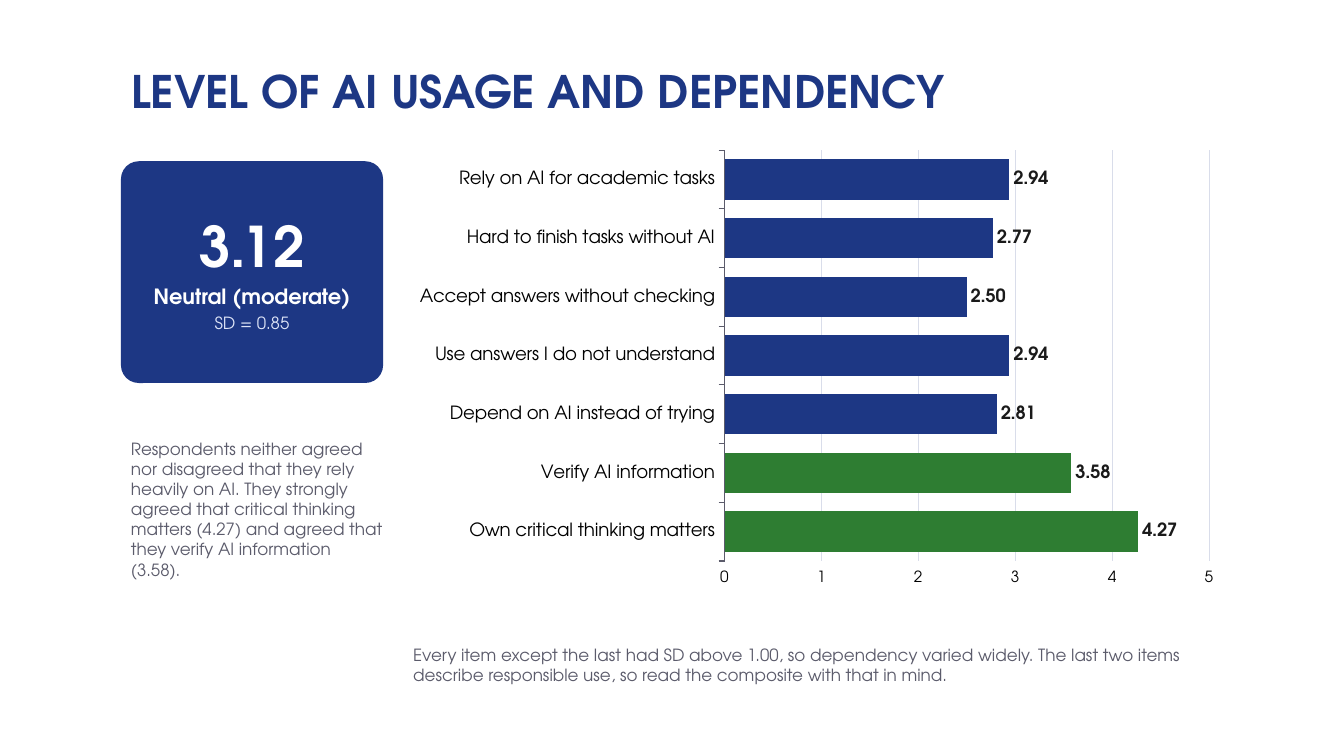
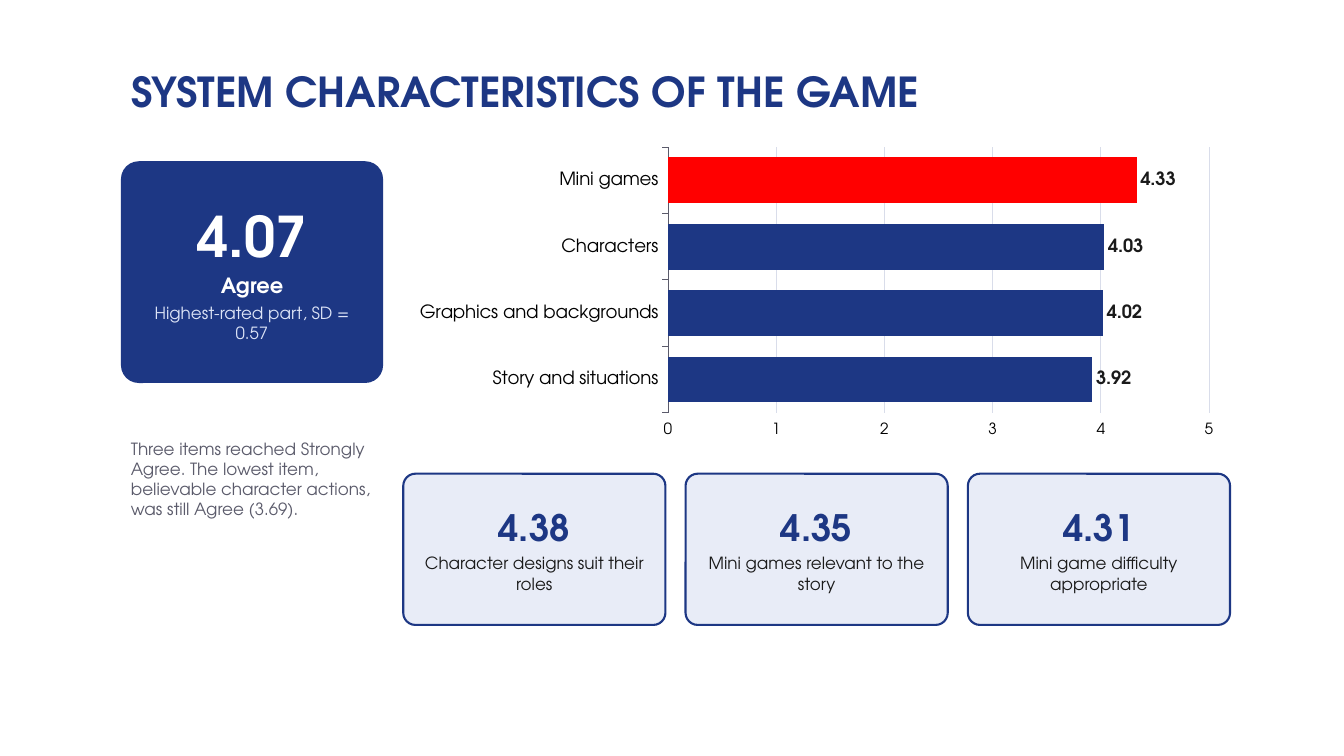
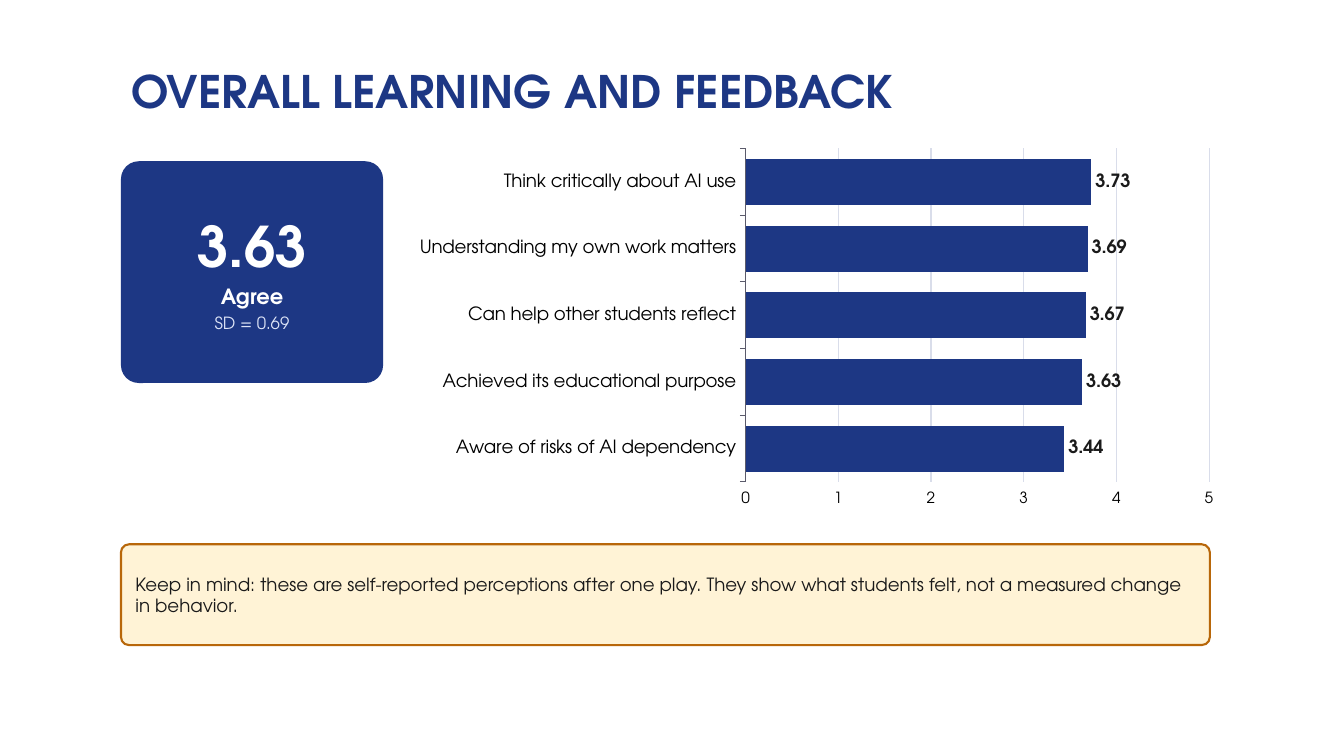
from pptx import Presentation
from pptx.chart.data import CategoryChartData
from pptx.dml.color import RGBColor
from pptx.enum.chart import XL_CHART_TYPE, XL_LABEL_POSITION, XL_TICK_MARK
from pptx.enum.shapes import MSO_SHAPE
from pptx.enum.text import MSO_ANCHOR, MSO_AUTO_SIZE, PP_ALIGN
from pptx.util import Inches, Pt

# Shared look
FONT = "TeX Gyre Adventor"
NAVY, GREEN, RED, AMBER = "1D3784", "2E7D32", "FF0000", "B8670A"
WHITE, INK, GREY = "FFFFFF", "1A1A1A", "5B5B6B"
PALE_BLUE, MIST, CREAM, GRID = "DDE4F7", "E8ECF7", "FFF3D6", "D9DDEA"

# Four-column grid, in inches
MARGIN, COLUMN, GUTTER = 1.2, 2.6, 0.2
CARD_TOP, CHART_TOP, NOTE_TOP = 1.6, 1.4, 4.3


def column_left(index):
    return MARGIN + index * (COLUMN + GUTTER)


def span(count):
    return count * (COLUMN + GUTTER) - GUTTER


def color(hex_value):
    return RGBColor.from_string(hex_value)


def set_font(font, size, hex_value, bold=False):
    font.name = FONT
    font.size = Pt(size)
    font.bold = bold
    font.color.rgb = color(hex_value)


def write(text_frame, lines, align):
    """Write (text, size, colour, bold) lines, one paragraph each."""
    text_frame.word_wrap = True
    text_frame.text = "\n".join(line[0] for line in lines)
    for index, (paragraph, line) in enumerate(zip(text_frame.paragraphs, lines)):
        paragraph.alignment = align
        if index:
            paragraph.space_before = Pt(3)
        for run in paragraph.runs:
            set_font(run.font, *line[1:])


def add_titled_slide(presentation, title, size=32):
    slide = presentation.slides.add_slide(presentation.slide_layouts[5])
    shape = slide.shapes.title
    shape.left, shape.top = Inches(MARGIN), Inches(0.45)
    shape.width, shape.height = Inches(10), Inches(0.9)
    write(shape.text_frame, [(title, size, NAVY, True)], PP_ALIGN.LEFT)
    shape.text_frame.auto_size = MSO_AUTO_SIZE.NONE
    shape.text_frame.vertical_anchor = MSO_ANCHOR.MIDDLE
    return slide


def add_panel(slide, box, fill, lines, border=None, align=PP_ALIGN.CENTER):
    shape = slide.shapes.add_shape(
        MSO_SHAPE.ROUNDED_RECTANGLE, *(Inches(length) for length in box))
    shape.adjustments[0] = 0.08
    shape.shadow.inherit = False
    shape.fill.solid()
    shape.fill.fore_color.rgb = color(fill)
    if border:
        shape.line.color.rgb = color(border)
        shape.line.width = Pt(1.5)
    else:
        shape.line.fill.background()
    text_frame = shape.text_frame
    text_frame.margin_left = text_frame.margin_right = Inches(0.12)
    text_frame.margin_top = text_frame.margin_bottom = Inches(0.06)
    text_frame.vertical_anchor = MSO_ANCHOR.MIDDLE
    write(text_frame, lines, align)


def add_score_card(slide, score, verdict, detail):
    add_panel(slide, (MARGIN, CARD_TOP, COLUMN, 2.2), NAVY, [
        (score, 40, WHITE, True),
        (verdict, 15, WHITE, True),
        (detail, 12, PALE_BLUE, False)])


def add_note(slide, left, top, width, height, text):
    box = slide.shapes.add_textbox(
        Inches(left), Inches(top), Inches(width), Inches(height))
    write(box.text_frame, [(text, 12, GREY, False)], PP_ALIGN.LEFT)


def add_score_chart(slide, height, scores, highlights=None):
    """Bar chart of (label, score) pairs listed from top to bottom."""
    highlights = highlights or {}
    rows = scores[::-1]
    data = CategoryChartData(number_format="0.00")
    data.categories = [label for label, _ in rows]
    data.add_series("Series 1", [score for _, score in rows])
    chart = slide.shapes.add_chart(
        XL_CHART_TYPE.BAR_CLUSTERED, Inches(column_left(1)), Inches(CHART_TOP),
        Inches(span(3)), Inches(height), data).chart
    chart.has_legend = False
    chart.has_title = False
    set_font(chart.font, 13, "000000")

    # Axes
    category_axis, value_axis = chart.category_axis, chart.value_axis
    for axis, size in ((category_axis, 13), (value_axis, 11)):
        set_font(axis.tick_labels.font, size, "000000")
        axis.major_tick_mark = XL_TICK_MARK.OUTSIDE
    category_axis.format.line.color.rgb = color(GREY)
    category_axis.format.line.width = Pt(0.75)
    value_axis.format.line.fill.background()
    value_axis.minimum_scale, value_axis.maximum_scale = 0, 5
    value_axis.major_unit = 1
    value_axis.tick_labels.number_format = "0"
    value_axis.tick_labels.number_format_is_linked = False
    gridline = value_axis.major_gridlines.format.line
    gridline.color.rgb = color(GRID)
    gridline.width = Pt(0.75)

    # Bars and their labels
    plot = chart.plots[0]
    plot.gap_width = 45
    plot.vary_by_categories = False
    series = plot.series[0]
    series.format.fill.solid()
    series.format.fill.fore_color.rgb = color(NAVY)
    for index, (label, _) in enumerate(rows):
        if label in highlights:
            fill = series.points[index].format.fill
            fill.solid()
            fill.fore_color.rgb = color(highlights[label])
    labels = series.data_labels
    labels.show_value = True
    labels.position = XL_LABEL_POSITION.OUTSIDE_END
    labels.number_format = "0.00"
    labels.number_format_is_linked = False
    set_font(labels.font, 13, INK, True)


def build_usage_slide(presentation):
    slide = add_titled_slide(presentation, "LEVEL OF AI USAGE AND DEPENDENCY")
    add_score_card(slide, "3.12", "Neutral (moderate)", "SD = 0.85")
    add_score_chart(slide, 4.5, [
        ("Rely on AI for academic tasks", 2.94),
        ("Hard to finish tasks without AI", 2.77),
        ("Accept answers without checking", 2.50),
        ("Use answers I do not understand", 2.94),
        ("Depend on AI instead of trying", 2.81),
        ("Verify AI information", 3.58),
        ("Own critical thinking matters", 4.27),
    ], {"Verify AI information": GREEN, "Own critical thinking matters": GREEN})
    add_note(slide, MARGIN, NOTE_TOP, 2.7, 1.6,
             "Respondents neither agreed nor disagreed that they rely heavily on AI. "
             "They strongly agreed that critical thinking matters (4.27) and agreed "
             "that they verify AI information (3.58).")
    add_note(slide, column_left(1), 6.35, span(3), 0.6,
             "Every item except the last had SD above 1.00, so dependency varied "
             "widely. The last two items describe responsible use, so read the "
             "composite with that in mind.")


def build_game_slide(presentation):
    slide = add_titled_slide(
        presentation, "SYSTEM CHARACTERISTICS OF THE GAME", 29.5)
    add_score_card(slide, "4.07", "Agree", "Highest-rated part, SD = 0.57")
    add_score_chart(slide, 3, [
        ("Mini games", 4.33),
        ("Characters", 4.03),
        ("Graphics and backgrounds", 4.02),
        ("Story and situations", 3.92),
    ], {"Mini games": RED})
    top_items = [
        ("4.38", "Character designs suit their roles"),
        ("4.35", "Mini games relevant to the story"),
        ("4.31", "Mini game difficulty appropriate"),
    ]
    for column, (score, item) in enumerate(top_items, start=1):
        add_panel(slide, (column_left(column), 4.7, COLUMN, 1.5), MIST,
                  [(score, 26, NAVY, True), (item, 12, INK, False)], NAVY)
    add_note(slide, MARGIN, NOTE_TOP, 2.7, 1,
             "Three items reached Strongly Agree. The lowest item, believable "
             "character actions, was still Agree (3.69).")


def build_feedback_slide(presentation):
    slide = add_titled_slide(presentation, "OVERALL LEARNING AND FEEDBACK")
    add_score_card(slide, "3.63", "Agree", "SD = 0.69")
    add_score_chart(slide, 3.7, [
        ("Think critically about AI use", 3.73),
        ("Understanding my own work matters", 3.69),
        ("Can help other students reflect", 3.67),
        ("Achieved its educational purpose", 3.63),
        ("Aware of risks of AI dependency", 3.44),
    ])
    caution = ("Keep in mind: these are self-reported perceptions after one play. "
               "They show what students felt, not a measured change in behavior.")
    add_panel(slide, (MARGIN, 5.4, 10.8, 1), CREAM,
              [(caution, 13, INK, False)], AMBER, PP_ALIGN.LEFT)


def main():
    presentation = Presentation()
    presentation.slide_width = Inches(13.33)
    presentation.slide_height = Inches(7.5)
    build_usage_slide(presentation)
    build_game_slide(presentation)
    build_feedback_slide(presentation)
    presentation.save("out.pptx")


if __name__ == "__main__":
    main()
